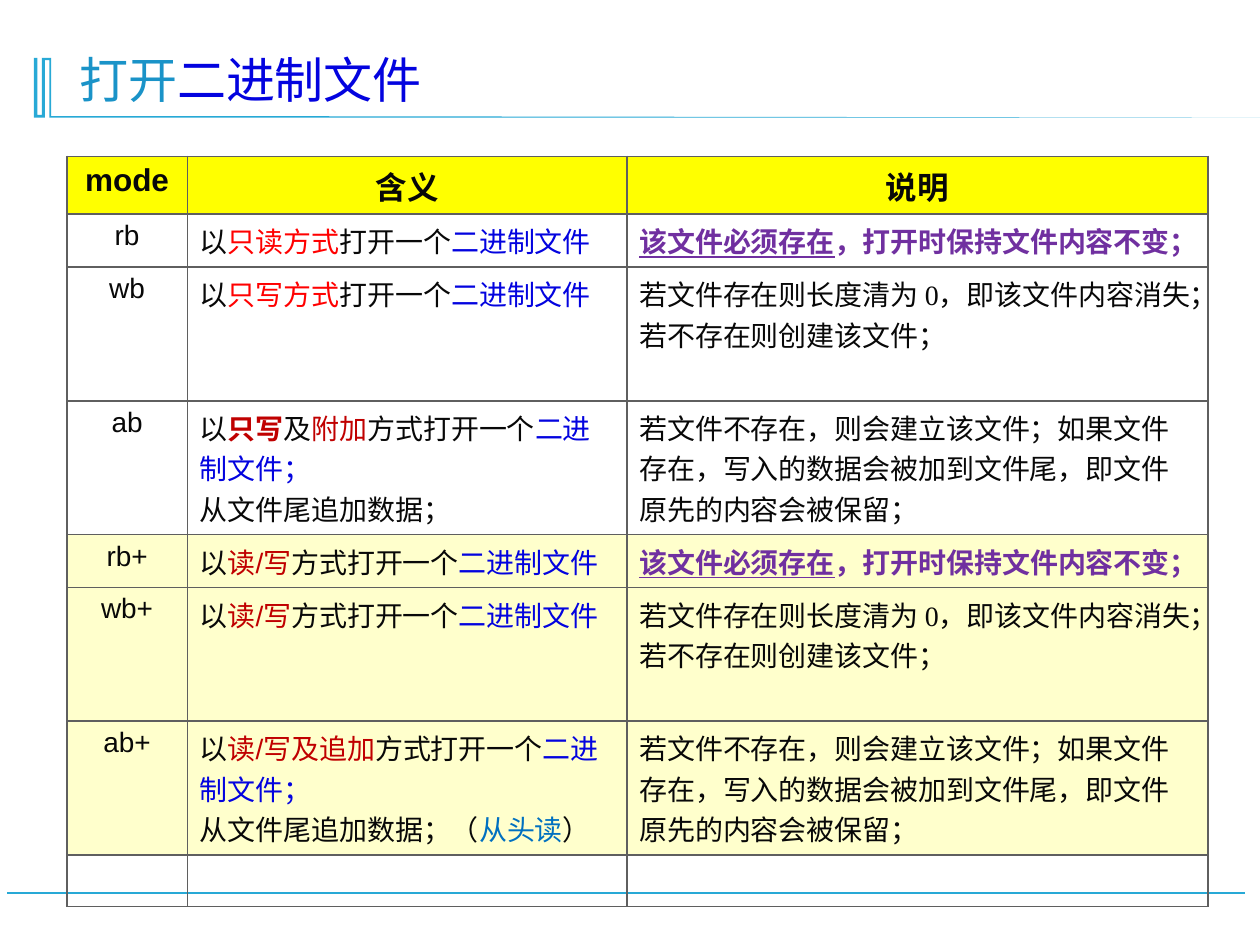
from lxml import etree
from pptx import Presentation
from pptx.dml.color import RGBColor
from pptx.enum.shapes import MSO_CONNECTOR
from pptx.enum.text import MSO_ANCHOR, PP_ALIGN
from pptx.oxml.ns import qn
from pptx.util import Pt

INK = RGBColor(0x08, 0x08, 0x08)
BLUE = RGBColor(0x03, 0x03, 0xDF)
RED = RGBColor(0xFF, 0x00, 0x00)
DARK_RED = RGBColor(0xC0, 0x00, 0x00)
PURPLE = RGBColor(0x70, 0x30, 0xA0)
SKY = RGBColor(0x00, 0x70, 0xC0)
TITLE = RGBColor(0x1A, 0x93, 0xC8)
CYAN = RGBColor(0x28, 0xA9, 0xD6)
YELLOW = RGBColor(0xFF, 0xFF, 0x00)
CREAM = RGBColor(0xFF, 0xFF, 0xCC)
BORDER = "5F5F5F"

ARIAL, TIMES, CJK = "Arial", "Times New Roman", "Noto Sans CJK SC"
COLUMNS = (68.8, 251.2, 332)
HEADER_ROW, ONE_LINE, THREE_LINES, EMPTY_ROW = 33.1, 30.3, 76.4, 29.5


def run(text, color=INK, font=ARIAL, bold=False, underline=False):
    return text, color, font, bold, underline


# Explanations shared by the plain and the "+" modes
KEEP = [[run("该文件必须存在", PURPLE, bold=True, underline=True),
         run("，打开时保持文件内容不变；", PURPLE, bold=True)]]
CLEAR = [[run("若文件存在则长度清为 0，即该文件内容消失；", font=TIMES)],
         [run("若不存在则创建该文件；", font=TIMES)]]
APPEND = [[run("若文件不存在，则会建立该文件；如果文件存在，"
               "写入的数据会被加到文件尾，即文件原先的内容会被保留；", font=TIMES)]]


def open_as(way, color, middle="打开一个", end="二进制文件"):
    return [run("以"), run(way, color), run(middle), run(end, BLUE)]


READ_WRITE = [open_as("读/写", DARK_RED, "方式打开一个")]

# mode, meaning, explanation, fill, row height
MODES = [
    ("rb", [open_as("只读方式", RED)], KEEP, None, ONE_LINE),
    ("wb", [open_as("只写方式", RED)], CLEAR, None, THREE_LINES),
    ("ab", [[run("以"), run("只写", DARK_RED, bold=True), run("及", font=TIMES),
             run("附加", DARK_RED), run("方式打开一个"), run("二进制文件；", BLUE)],
            [run("从文件尾追加数据；", font=CJK)]], APPEND, None, THREE_LINES),
    ("rb+", READ_WRITE, KEEP, CREAM, ONE_LINE),
    ("wb+", READ_WRITE, CLEAR, CREAM, THREE_LINES),
    ("ab+", [open_as("读/写及追加", DARK_RED, "方式打开一个", "二进制文件；"),
             [run("从文件尾追加数据；（", font=CJK), run("从头读", SKY, CJK),
              run("）", font=CJK)]], APPEND, CREAM, THREE_LINES),
]


def add_runs(p, runs, size):
    for text, color, font, bold, underline in runs:
        r = p.add_run()
        r.text = text
        r.font.size = Pt(size)
        r.font.bold = bold
        r.font.underline = underline
        r.font.color.rgb = color
        r.font.name = font
        etree.SubElement(r.font._element, qn("a:ea"), typeface=CJK)


def add_footer_line(s):
    line = s.shapes.add_connector(MSO_CONNECTOR.STRAIGHT,
                                  Pt(711.4), Pt(510.5), Pt(4.3), Pt(510.5))
    line.line.color.rgb = CYAN
    line.line.width = Pt(1.25)
    etree.SubElement(line._element.spPr, qn("a:effectLst"))


def add_title_ornament(s):
    top, bottom = 33.1, 67.2
    points = [(29.3, top), (29.3, 66.3), (100.8, 66.3), (726.5, bottom),
              (28.3, bottom), (28.3, 34.3), (25.7, 34.3), (25.7, bottom),
              (19.4, bottom), (19.4, top), (21.4, top), (21.4, 65.7),
              (24, 65.7), (24, top)]
    builder = s.shapes.build_freeform(Pt(points[0][0]), Pt(points[0][1]))
    builder.add_line_segments([(Pt(x), Pt(y)) for x, y in points[1:]])
    sp = builder.convert_to_shape()
    sp.shadow.inherit = False
    sp.fill.solid()
    sp.fill.fore_color.rgb = CYAN
    sp.line.fill.background()


def add_title(s):
    sp = s.shapes.add_textbox(Pt(38.2), Pt(19.8), Pt(637.2), Pt(46.1))
    tf = sp.text_frame
    tf.word_wrap = True
    tf.vertical_anchor = MSO_ANCHOR.BOTTOM
    p = tf.paragraphs[0]
    p.line_spacing = 0.9
    add_runs(p, [run("打开", TITLE, TIMES), run("二进制文件", BLUE, TIMES)], 28)


def style_cell(cell, fill):
    tc_pr = cell._tc.get_or_add_tcPr()
    for side in ("lnL", "lnR", "lnT", "lnB"):
        ln = etree.SubElement(tc_pr, qn(f"a:{side}"), w=str(Pt(1)))
        solid = etree.SubElement(ln, qn("a:solidFill"))
        etree.SubElement(solid, qn("a:srgbClr"), val=BORDER)
    if fill is None:
        cell.fill.background()
    else:
        cell.fill.solid()
        cell.fill.fore_color.rgb = fill


def fill_cell(cell, paragraphs, size, align):
    tf = cell.text_frame
    for i, runs in enumerate(paragraphs):
        p = tf.add_paragraph() if i else tf.paragraphs[0]
        p.alignment = align
        add_runs(p, runs, size)


def add_mode_table(s):
    header = [[[run(text, bold=True)]] for text in ("mode", "含义", "说明")]
    rows = [(header, YELLOW, HEADER_ROW)]
    rows += [([[[run(mode)]], meaning, note], fill, height)
             for mode, meaning, note, fill, height in MODES]
    rows.append(([[], [], []], None, EMPTY_ROW))

    total = sum(height for _, _, height in rows)
    table = s.shapes.add_table(len(rows), len(COLUMNS), Pt(38.2), Pt(89.3),
                               Pt(sum(COLUMNS)), Pt(total)).table
    table.first_row = table.horz_banding = False
    for column, width in zip(table.columns, COLUMNS):
        column.width = Pt(width)
    for i, (contents, fill, height) in enumerate(rows):
        table.rows[i].height = Pt(height)
        for j, paragraphs in enumerate(contents):
            cell = table.cell(i, j)
            style_cell(cell, fill)
            centred = i == 0 or j == 0
            fill_cell(cell, paragraphs, 18 if i == 0 else 16,
                      PP_ALIGN.CENTER if centred else PP_ALIGN.LEFT)


def main():
    prs = Presentation()
    prs.slide_width, prs.slide_height = Pt(720), Pt(540)
    s = prs.slides.add_slide(prs.slide_layouts[6])
    # Frame of the page
    add_footer_line(s)
    add_title_ornament(s)
    # Content
    add_title(s)
    add_mode_table(s)
    prs.save("out.pptx")


if __name__ == "__main__":
    main()
